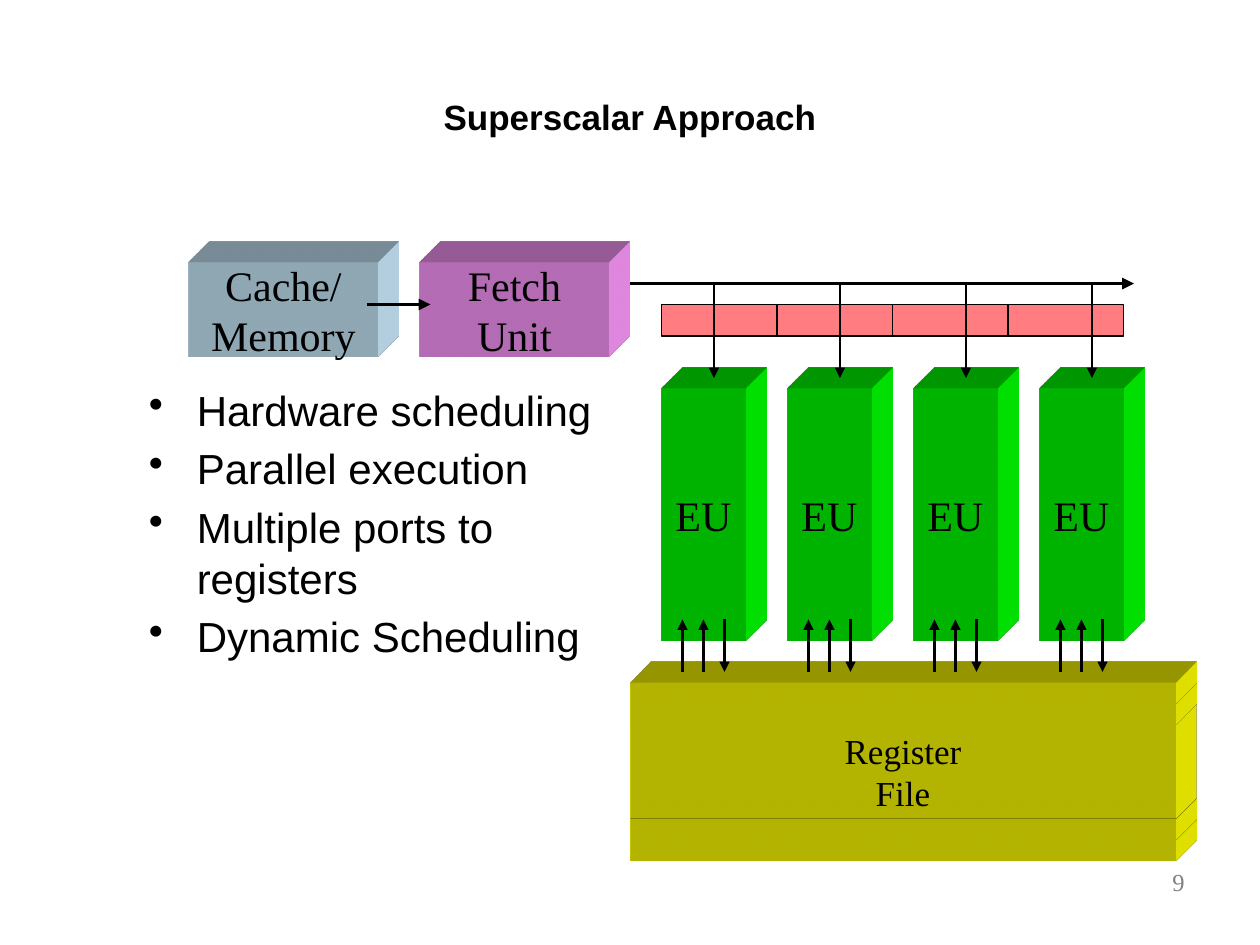
from lxml import etree
from pptx import Presentation
from pptx.dml.color import RGBColor
from pptx.enum.shapes import MSO_CONNECTOR, MSO_SHAPE
from pptx.enum.text import MSO_ANCHOR, PP_ALIGN
from pptx.oxml import parse_xml
from pptx.oxml.ns import nsdecls, qn
from pptx.util import Inches, Pt

RECTANGLE = MSO_SHAPE.RECTANGLE
STRAIGHT = MSO_CONNECTOR.STRAIGHT
CENTER, RIGHT = PP_ALIGN.CENTER, PP_ALIGN.RIGHT
MIDDLE = MSO_ANCHOR.MIDDLE
CELL = Inches(1) / 12  # the slide is a grid of 120 columns and 90 rows
SERIF, SANS = "Times New Roman", "Arial"


def color(value):
    return RGBColor.from_string(value)


def add_block(shapes, box, fill, text="", size=24, wrap=False):
    """Add a rectangle extruded up and to the right; box is in grid cells."""
    shape = shapes.add_shape(RECTANGLE, *[round(n * CELL) for n in box])
    shape.shadow.inherit = False
    shape.fill.solid()
    shape.fill.fore_color.rgb = color(fill)
    shape.line.fill.background()
    properties = shape._element.spPr
    properties.append(parse_xml(
        f'<a:scene3d {nsdecls("a")}><a:camera prst="legacyObliqueTopRight"/>'
        '<a:lightRig rig="legacyFlat3" dir="b"/></a:scene3d>'))
    properties.append(parse_xml(
        f'<a:sp3d {nsdecls("a")} extrusionH="430200" prstMaterial="legacyMatte">'
        '<a:bevelT w="13500" h="13500" prst="angle"/>'
        '<a:bevelB w="13500" h="13500" prst="angle"/>'
        f'<a:extrusionClr><a:srgbClr val="{fill}"/></a:extrusionClr></a:sp3d>'))
    frame = shape.text_frame
    frame.word_wrap = wrap
    frame.vertical_anchor = MIDDLE
    if text:
        frame.text = text
        for paragraph in frame.paragraphs:
            paragraph.alignment = CENTER
            paragraph.font.size = Pt(size)
            paragraph.font.name = SERIF
            paragraph.font.color.rgb = color("000000")


def add_arrow(shapes, start, end, width=1.5):
    """Add an arrow between two (column, row) grid points."""
    arrow = shapes.add_connector(STRAIGHT, *[round(n * CELL) for n in start + end])
    arrow.line.color.rgb = color("000000")
    arrow.line.width = Pt(width)
    etree.SubElement(arrow.line._get_or_add_ln(), qn("a:tailEnd"), type="triangle")
    etree.SubElement(arrow._element.spPr, qn("a:effectLst"))


presentation = Presentation()
presentation.slide_width, presentation.slide_height = Inches(10), Inches(7.5)
slide = presentation.slides.add_slide(presentation.slide_layouts[6])

# Title, bullets and slide number
bullets = ("Hardware scheduling\nParallel execution\n"
           "Multiple ports to registers\nDynamic Scheduling")
texts = [
    ("Superscalar Approach", (6, 3.6, 108, 15), SANS, 20, "000000", CENTER),
    (bullets, (13, 36, 50, 54), SANS, 24, "000000", None),
    ("9", (86, 82, 28, 6.25), SERIF, 14, "808080", RIGHT),
]
frames = []
for text, box, font, size, ink, alignment in texts:
    frame = slide.shapes.add_textbox(*[round(n * CELL) for n in box]).text_frame
    frame.word_wrap = True
    frame.text = text
    for paragraph in frame.paragraphs:
        paragraph.alignment = alignment
        paragraph.font.name = font
        paragraph.font.size = Pt(size)
        paragraph.font.color.rgb = color(ink)
    frames.append(frame)
title, bullet_list, _ = frames
title.vertical_anchor = MIDDLE
title.paragraphs[0].font.bold = True
for paragraph in bullet_list.paragraphs:
    paragraph.space_before = Pt(4.8)
    properties = paragraph._p.get_or_add_pPr()
    properties.set("marL", str(Inches(0.38)))
    properties.set("indent", str(-Inches(0.38)))
    # The bullet must come before the default run properties
    bullet = parse_xml(f'<a:buChar {nsdecls("a")} char="•"/>')
    properties.find(qn("a:defRPr")).addprevious(bullet)

# Register file, stacked from the bottom up
register_file = slide.shapes.add_group_shape().shapes
for row, height, text in [(80, 2, ""), (78, 2, ""), (69, 9, "Register\nFile"),
                          (67, 2, ""), (65, 2, "")]:
    add_block(register_file, (60, row, 52, height), "FFFF00", text, size=20)

# Fetch path
add_block(slide.shapes, (40, 25, 18, 9), "FF99FF", "Fetch\nUnit")
add_block(slide.shapes, (18, 25, 18, 9), "CCECFF", "Cache/\nMemory")
add_arrow(slide.shapes, (35, 29), (41, 29), 2.25)

# Instruction slots
for index in range(4):
    box = (63 + 11 * index, 29, 11, 3)
    slot = slide.shapes.add_shape(RECTANGLE, *[round(n * CELL) for n in box])
    slot.shadow.inherit = False
    slot.fill.solid()
    slot.fill.fore_color.rgb = color("FF7C80")
    slot.line.color.rgb = color("000000")
    slot.line.width = Pt(0.75)

# Execution units, each with two read ports, one write port and an issue arrow
for column in range(63, 111, 12):
    unit = slide.shapes.add_group_shape().shapes
    add_block(unit, (column, 37, 8, 24), "00FF00", "EU", wrap=True)
    for offset, start, end in [(2, 64, 59), (4, 64, 59), (6, 59, 64)]:
        add_arrow(unit, (column + offset, start), (column + offset, end))
    add_arrow(slide.shapes, (column + 5, 27), (column + 5, 36))

# Issue bus
add_arrow(slide.shapes, (60, 27), (108, 27), 2.25)

presentation.save("out.pptx")
